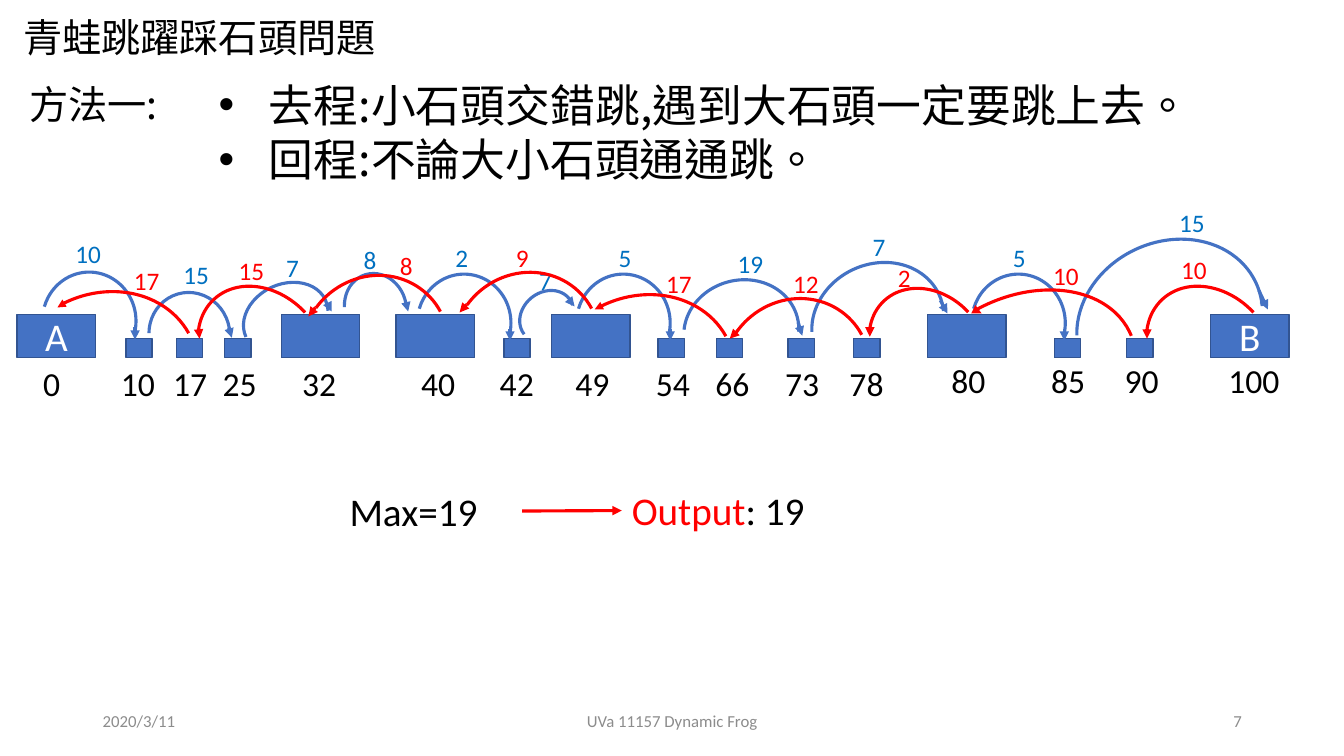
"""Build the frog and stones slide: there and back hops, with the longest as output."""
from pptx import Presentation
from pptx.dml.color import RGBColor
from pptx.enum.lang import MSO_LANGUAGE_ID as Lang
from pptx.enum.shapes import MSO_CONNECTOR as Line, MSO_SHAPE as Kind
from pptx.enum.text import MSO_ANCHOR as Anchor, MSO_AUTO_SIZE as Fit, PP_ALIGN as Align
from pptx.oxml.ns import qn
from pptx.util import Cm, Pt
from lxml.etree import SubElement

HUE = {"stone": "4472C4", "edge": "325491", "go": "0070C0", "back": "FF0000",
       "ink": "000000", "white": "FFFFFF", "gray": "8C8C8C"}
LATIN, HAN = "Calibri", "Noto Sans CJK SC"

TITLE = "青蛙跳躍踩石頭問題"
METHOD = "方法一:"
RULES = ["去程:小石頭交錯跳,遇到大石頭一定要跳上去。", "回程:不論大小石頭通通跳。"]
FOOT = [("2020/3/11", 0.92, 3, Align.LEFT),
        ("UVa 11157 Dynamic Frog", 4.42, 4.5, Align.CENTER),
        ("7", 9.42, 3, Align.RIGHT)]

# fmt: off
BIG = [(0, 0.17, 0.33, "A"), (32, 2.79, 2.9, ""), (40, 3.93, 4.08, ""),
       (49, 5.47, 5.61, ""), (80, 9.2, 9.34, ""), (100, 12.01, 12.09, "B")]
SMALL = [(10, 1.25, 1.1), (17, 1.75, 1.62), (25, 2.23, 2.11), (42, 5, 4.86),
         (54, 6.53, 6.41), (66, 7.11, 7), (73, 7.82, 7.69), (78, 8.47, 8.33),
         (85, 10.46, 10.33), (90, 11.18, 11.06)]

BOW = {"wide": (118.62, 8.94), "low": (108.25, 8.94), "tall": (145.48, 0),
       "flat": (158.99, 1.37), "mid": (154.59, 7.93), "thin": (161.56, 214.87)}
GO = [
    (10, (0.65, 2.32), "wide", (0.42, 2.7, 0.93, 0.97), 0, (1.34, 3.24, 1.34, 3.37)),
    (15, (1.72, 2.52), "wide", (1.48, 2.9, 0.8, 0.83), 343.7, (2.27, 3.25, 2.3, 3.35)),
    (7, (2.74, 2.45), "low", (2.4, 2.82, 0.87, 0.68), 334.7, (3.25, 3.01, 3.29, 3.09)),
    (8, (3.51, 2.37), "wide", (3.42, 2.71, 0.61, 0.69), 343.7, (4.03, 3.01, 4.05, 3.09)),
    (2, (4.42, 2.35), "wide", (4.14, 2.72, 0.93, 0.97), 0, (5.06, 3.26, 5.06, 3.38)),
    (7, (5.25, 2.58), "low", (5.14, 2.9, 0.57, 0.48), 321.4, (5.66, 2.99, 5.7, 3.04)),
    (5, (6.04, 2.35), "wide", (5.72, 2.72, 0.93, 0.97), 0, (6.65, 3.26, 6.65, 3.38)),
    (19, (7.22, 2.41), "wide", (6.78, 2.78, 1.15, 1.03), 344.7, (7.92, 3.2, 7.96, 3.33)),
    (7, (8.56, 2.25), "wide", (8.04, 2.62, 1.34, 1.17), 334.7, (9.33, 2.98, 9.4, 3.11)),
    (5, (9.95, 2.35), "wide", (9.64, 2.72, 0.93, 0.97), 0, (10.56, 3.26, 10.56, 3.38)),
    (15, (11.6, 2.01), "wide", (10.66, 2.4, 1.89, 1.61), 334.7, (12.49, 2.88, 12.58, 3.07)),
]
BACK = [
    (10, (11.62, 2.47), "tall", (11.44, 2.78, 1.15, 1.42), 317.2, (11.38, 3.26, 11.38, 3.36)),
    (10, (10.35, 2.53), "flat", (8.94, 2.95, 2.39, 1.74), 333.6, (9.68, 3.08, 9.74, 3.11)),
    (2, (8.81, 2.55), "tall", (8.68, 2.81, 1.07, 1.3), 317.2, (8.63, 3.26, 8.63, 3.34)),
    (12, (7.77, 2.61), "mid", (7.15, 2.98, 1.5, 1.42), 317.2, (7.32, 3.28, 7.24, 3.36)),
    (17, (6.51, 2.61), "thin", (5.36, 2.95, 1.96, 1.7), 333.6, (5.96, 3.04, 5.9, 3.07)),
    (9, (5.02, 2.36), "mid", (4.47, 2.72, 1.5, 1.42), 317.2, (4.63, 3.02, 4.56, 3.1)),
    (8, (3.87, 2.43), "mid", (2.97, 2.75, 1.5, 1.42), 317.2, (3.13, 3.05, 3.06, 3.14)),
    (15, (2.27, 2.48), "tall", (2.03, 2.78, 1.15, 1.42), 317.2, (1.97, 3.26, 1.98, 3.36)),
    (17, (1.23, 2.58), "thin", (0.03, 2.92, 1.96, 1.7), 333.6, (0.62, 3.02, 0.57, 3.05)),
]
# fmt: on


def cm(*nums):
    return [Cm(n * 2.54) for n in nums]


def put(obj, **vals):
    for key, val in vals.items():
        setattr(obj, key, val)


def rgb(hue):
    return RGBColor.from_string(HUE[hue])


def write(shape, runs, size, face=LATIN, align=Align.LEFT, anchor=Anchor.TOP, fit=Fit.NONE):
    frame = shape.text_frame
    put(frame, word_wrap=True, auto_size=fit, vertical_anchor=anchor)
    para = frame.paragraphs[0]
    para.alignment = align
    for text, hue in runs:
        run = para.add_run()
        run.text = text
        put(run.font, size=Pt(size), name=face)
        run.font.color.rgb = rgb(hue)
        if face == HAN:
            run.font.language_id = Lang.TRADITIONAL_CHINESE
            SubElement(run.font._element, qn("a:ea"), typeface=face)
    return para


def note(box, runs, size, face=LATIN):
    shape = deck.add_textbox(*cm(*box))
    write(shape, runs, size, face, fit=Fit.SHAPE_TO_FIT_TEXT)
    return shape


def rock(box, mark=""):
    shape = deck.add_shape(Kind.RECTANGLE, *cm(*box))
    shape.shadow.inherit = False
    shape.fill.solid()
    shape.fill.fore_color.rgb = rgb("stone")
    shape.line.color.rgb = rgb("edge")
    shape.line.width = Pt(1)
    if mark:
        write(shape, [(mark, "white")], 28, align=Align.CENTER, anchor=Anchor.MIDDLE)


def arrow(home, ends, hue, width=2.25):
    line = home.add_connector(Line.STRAIGHT, *cm(*ends))
    line.line.color.rgb = rgb(hue)
    line.line.width = Pt(width)
    SubElement(line.line._get_or_add_ln(), qn("a:tailEnd"), type="triangle")
    SubElement(line._element.spPr, qn("a:effectLst"))
    return line


def hop(bow, box, turn, ends, hue):
    home = deck.add_group_shape().shapes
    arc = home.add_shape(Kind.ARC, *cm(*box))
    arc.shadow.inherit = False
    arc.adjustments[0], arc.adjustments[1] = BOW[bow]
    arc.rotation = turn
    arc.fill.background()
    arc.line.color.rgb = rgb(hue)
    arc.line.width = Pt(2.25)
    arrow(home, ends, hue, 0.5 if bow == "thin" else 2.25)


show = Presentation()
put(show, slide_width=Cm(33.87), slide_height=Cm(19.05))
slide = show.slides.add_slide(show.slide_layouts[5])
deck = slide.shapes

left, top, wide, high = cm(0.13, 0.08, 4.84, 0.57)
put(deck.title, left=left, top=top, width=wide, height=high)
write(deck.title, [(TITLE, "ink")], 28, HAN)

for text, x, wide, align in FOOT:
    write(deck.add_textbox(*cm(x, 6.95, wide, 0.4)), [(text, "gray")], 12,
          align=align, anchor=Anchor.MIDDLE)

for _, x, _, mark in BIG:
    rock((x, 3.12, 0.78, 0.43), mark)
for _, x, _ in SMALL:
    rock((x, 3.36, 0.26, 0.19))
for spot, _, x, *_ in BIG + SMALL:
    note((x, 3.52 if spot >= 80 else 3.55, 0.73 if spot >= 90 else 0.55, 0.5),
         [(str(spot), "ink")], 24)

for hops, curve, tint in ((GO, "stone", "go"), (BACK, "back", "back")):
    for _, _, bow, box, turn, ends in hops:
        hop(bow, box, turn, ends, curve)
    for gap, at, *_ in hops:
        note((*at, 0.61, 0.4), [(str(gap), tint)], 18)

note((3.37, 4.79, 1.87, 0.57), [("Max=19", "ink")], 28)
out = note((6.17, 4.78, 2.26, 0.57), [("Output", "back"), (": 19", "ink")], 28)
arrow(deck, (5.18, 5.07, 6.17, 5.07), "back").end_connect(out, 1)

note((0.19, 0.75, 1.88, 0.57), [(METHOD, "ink")], 28, HAN)
for row, text in enumerate(RULES):
    shape = note((2.07, 0.72 + row * 0.54, 10.44, 0.64), [(text, "ink")], 32, HAN)
    props = shape.text_frame.paragraphs[0]._p.get_or_add_pPr()
    props.set("marL", str(Cm(1.27)))
    props.set("indent", str(-Cm(1.27)))
    SubElement(props, qn("a:buFont"), typeface="Arial")
    SubElement(props, qn("a:buChar"), char="•")

show.save("out.pptx")
